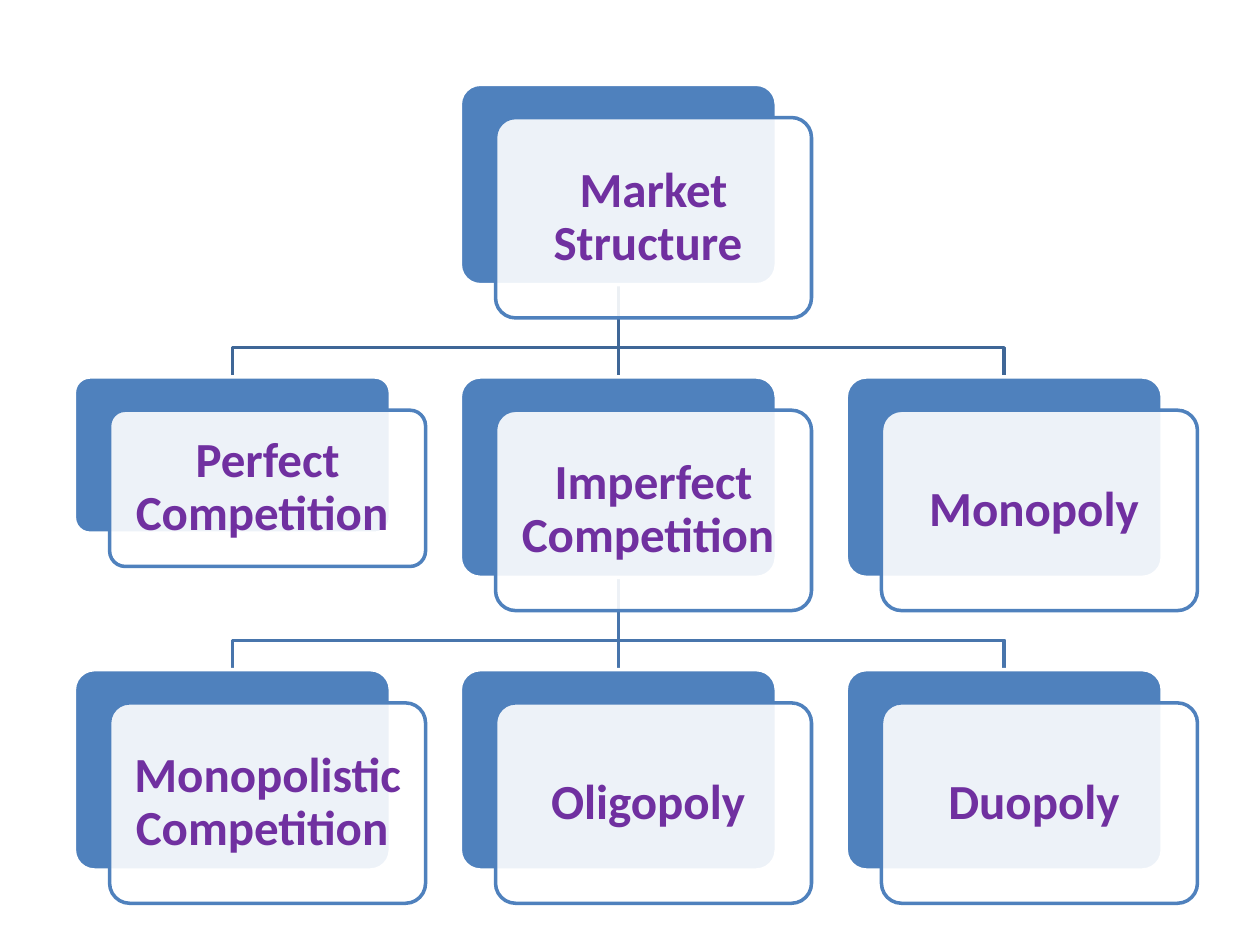
from lxml import etree
from pptx import Presentation
from pptx.dml.color import RGBColor
from pptx.enum.shapes import MSO_CONNECTOR, MSO_SHAPE
from pptx.enum.text import MSO_ANCHOR, PP_ALIGN
from pptx.oxml.ns import qn
from pptx.util import Cm, Pt

STRAIGHT = MSO_CONNECTOR.STRAIGHT
ROUNDED = MSO_SHAPE.ROUNDED_RECTANGLE
MIDDLE = MSO_ANCHOR.MIDDLE
CENTER = PP_ALIGN.CENTER

BLUE = RGBColor(0x4F, 0x81, 0xBD)
WHITE = RGBColor(0xFF, 0xFF, 0xFF)
PURPLE = RGBColor(0x70, 0x30, 0xA0)
UPPER_LINE = RGBColor(0x3F, 0x67, 0x97)
LOWER_LINE = RGBColor(0x48, 0x75, 0xAC)

# Chart grid, in centimetres
LEFT, TOP = 1.5, 1.7
COL_STEP, ROW_STEP = 7.78, 5.9
CARD_W, CARD_H, SHORT_H = 6.37, 4.04, 3.15
SHIFT_X, SHIFT_Y = 0.71, 0.67
TRUNK = 1.27
TEXT_INSET, TEXT_MARGIN = 0.12, 0.3

# Row, column, height and label of each card
CARDS = [
    (0, 1, CARD_H, "Market Structure "),
    (1, 0, SHORT_H, "Perfect Competition "),
    (1, 1, CARD_H, "Imperfect Competition "),
    (2, 0, CARD_H, "Monopolistic Competition "),
    (2, 1, CARD_H, "Oligopoly "),
    (2, 2, CARD_H, "Duopoly "),
    (1, 2, CARD_H, "Monopoly "),
]


def add_panel(slide, x, y, w, h, fill, line):
    """Rounded panel with a solid fill and outline."""
    sp = slide.shapes.add_shape(ROUNDED, Cm(x), Cm(y), Cm(w), Cm(h))
    sp.adjustments[0] = 0.1
    sp.shadow.inherit = False
    sp.fill.solid()
    sp.fill.fore_color.rgb = fill
    sp.line.color.rgb = line
    sp.line.width = Pt(2)
    return sp


def add_card(slide, x, y, w, h, label):
    """Blue panel, translucent white panel in front of it, and the label."""
    add_panel(slide, x, y, w, h, BLUE, WHITE)
    x, y = x + SHIFT_X, y + SHIFT_Y
    front = add_panel(slide, x, y, w, h, WHITE, BLUE)
    color = front.fill._xPr.find(qn("a:solidFill"))[0]
    etree.SubElement(color, qn("a:alpha"), val="90000")

    # Label
    box = slide.shapes.add_textbox(Cm(x + TEXT_INSET), Cm(y + TEXT_INSET),
                                   Cm(w - 2 * TEXT_INSET), Cm(h - 2 * TEXT_INSET))
    tf = box.text_frame
    tf.word_wrap = True
    tf.vertical_anchor = MIDDLE
    tf.margin_left = tf.margin_right = Cm(TEXT_MARGIN)
    tf.margin_top = tf.margin_bottom = Cm(TEXT_MARGIN)
    p = tf.paragraphs[0]
    p.alignment = CENTER
    p.line_spacing = 0.9
    r = p.add_run()
    r.text = label
    r.font.name = "Calibri"
    r.font.size = Pt(28)
    r.font.bold = True
    r.font.color.rgb = PURPLE


def add_branches(slide, x, y, drop, color):
    """Lines from a parent's bottom centre down to its three children."""
    branches = []
    for side in (1, -1):
        end_x = x + side * COL_STEP
        builder = slide.shapes.build_freeform(Cm(x), Cm(y))
        builder.add_line_segments([(Cm(x), Cm(y + TRUNK)),
                                   (Cm(end_x), Cm(y + TRUNK)),
                                   (Cm(end_x), Cm(y + drop))], close=False)
        elbow = builder.convert_to_shape()
        elbow.fill.background()
        elbow.shadow.inherit = False
        branches.append(elbow)

    stem = slide.shapes.add_connector(STRAIGHT, Cm(x), Cm(y), Cm(x), Cm(y + drop))
    etree.SubElement(stem._element.spPr, qn("a:effectLst"))
    branches.append(stem)
    for branch in branches:
        branch.line.color.rgb = color
        branch.line.width = Pt(2)


def add_hierarchy(slide, left, top):
    """Three levels of cards, with the lines behind them."""
    middle = left + COL_STEP + CARD_W / 2
    for row, color in enumerate((UPPER_LINE, LOWER_LINE)):
        add_branches(slide, middle, top + row * ROW_STEP + CARD_H,
                     ROW_STEP - CARD_H, color)
    for row, col, height, label in CARDS:
        add_card(slide, left + col * COL_STEP, top + row * ROW_STEP,
                 CARD_W, height, label)


def main():
    prs = Presentation()
    prs.slide_width, prs.slide_height = Cm(25.4), Cm(19.05)
    slide = prs.slides.add_slide(prs.slide_layouts[6])
    add_hierarchy(slide, LEFT, TOP)
    prs.save("out.pptx")


if __name__ == "__main__":
    main()
